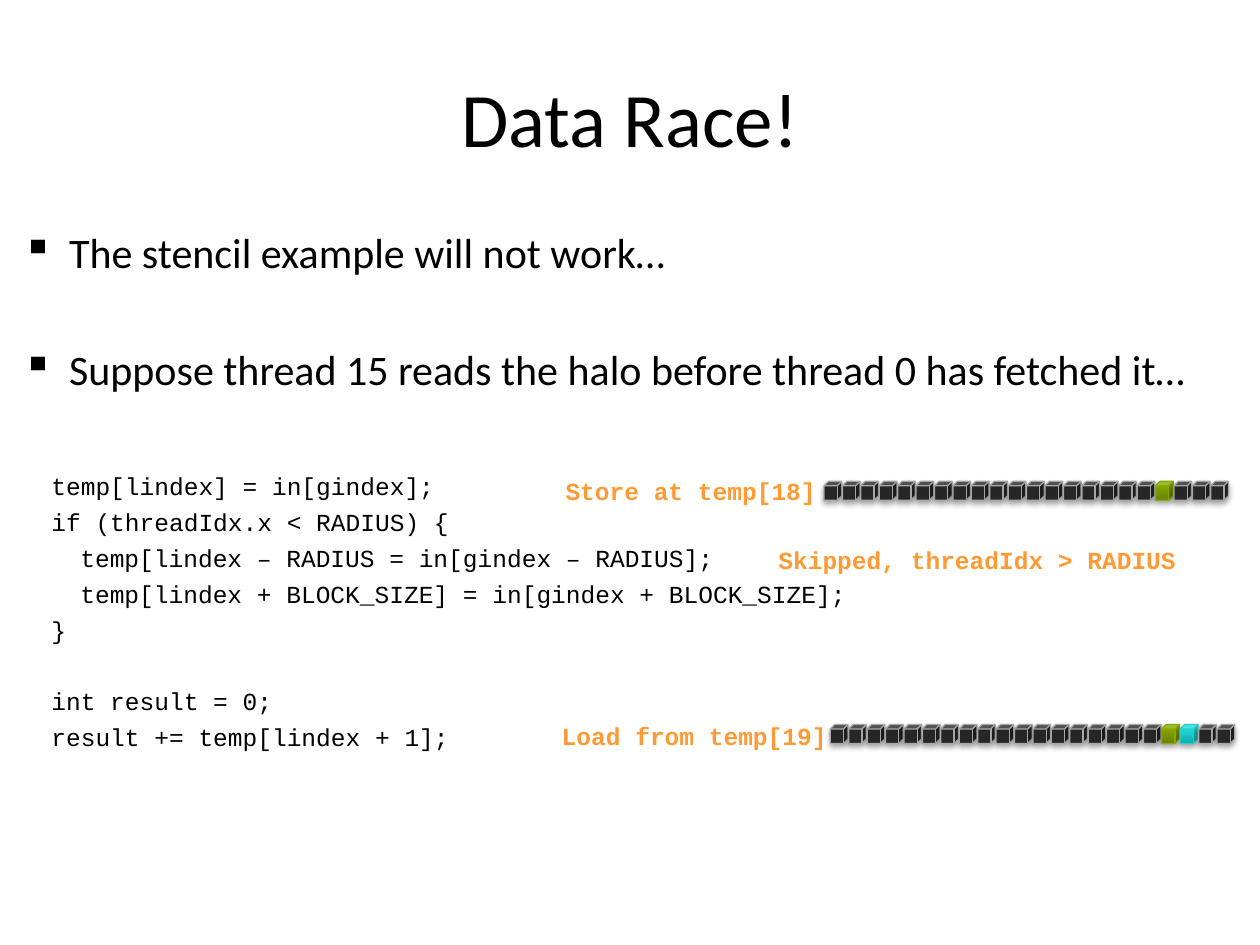
import pptx
import pptx.util
import pptx.dml.color
import pptx.enum.shapes
import pptx.enum.text
import pptx.oxml
import pptx.oxml.ns

Inches = pptx.util.Inches
Pt = pptx.util.Pt
RGBColor = pptx.dml.color.RGBColor

BLACK = RGBColor(0x00, 0x00, 0x00)
ORANGE = RGBColor(0xFF, 0x99, 0x33)
DARK = RGBColor(0x26, 0x26, 0x26)
GREY = RGBColor(0xA6, 0xA6, 0xA6)
GREEN_DEEP = RGBColor(0x67, 0x81, 0x00)
GREEN = RGBColor(0x86, 0xA8, 0x00)
GREEN_EDGE = RGBColor(0x87, 0xA9, 0x00)
CYAN_DEEP = RGBColor(0x15, 0xA9, 0xA9)
CYAN = RGBColor(0x1B, 0xDC, 0xDC)
CYAN_EDGE = RGBColor(0x2E, 0xCB, 0xCB)

STORED = (GREEN_DEEP, GREEN, GREEN_EDGE)
LOADED = (CYAN_DEEP, CYAN, CYAN_EDGE)

CELL_COUNT = 22
ROW_SPAN = 3.07  # from the first cube's left edge to the last one's
CODE_INDENT = 0.23  # two characters of code
BULLET_INDENT = 0.37

BULLETS = [  # text, space before in points
    ("The stencil example will not work…", 0),
    ("Suppose thread 15 reads the halo before thread 0 has fetched it…", 38),
]
CODE = [  # text, indent level, space before in points
    ("temp[lindex] = in[gindex];", 1, 44),
    ("if (threadIdx.x < RADIUS) {", 1, 3.8),
    ("temp[lindex – RADIUS = in[gindex – RADIUS];", 2, 3.8),
    ("temp[lindex + BLOCK_SIZE] = in[gindex + BLOCK_SIZE];", 2, 3.8),
    ("}", 1, 3.8),
    ("int result = 0;", 1, 23.5),
    ("result += temp[lindex + 1];", 1, 3.8),
]
LABELS = [  # text, left, top, width
    ("Store at temp[18]", 4.39, 3.73, 2.2),
    ("Load from temp[19]", 4.36, 5.67, 2.32),
    ("Skipped, threadIdx > RADIUS", 6.08, 4.28, 3.37),
]
SHADOW = (
    '<a:effectLst xmlns:a="http://schemas.openxmlformats.org/drawingml/2006/main">'
    '<a:outerShdw blurRad="39370" dist="22860" dir="5400000" rotWithShape="0">'
    '<a:srgbClr val="000000"><a:alpha val="35000"/></a:srgbClr>'
    "</a:outerShdw></a:effectLst>"
)


def add_text_frame(slide, left, top, width, height, wrap=True):
    box = slide.shapes.add_textbox(
        Inches(left), Inches(top), Inches(width), Inches(height)
    )
    box.text_frame.word_wrap = wrap
    return box.text_frame


def write(paragraph, text, font_name, size, color=BLACK, bold=False):
    paragraph.text = text
    font = paragraph.runs[0].font
    font.name = font_name
    font.size = Pt(size)
    font.color.rgb = color
    font.bold = bold


def set_indent(paragraph, margin, first_line=0):
    properties = paragraph._p.get_or_add_pPr()
    properties.set("marL", str(Inches(margin)))
    properties.set("indent", str(Inches(first_line)))
    return properties


def add_title(slide):
    frame = add_text_frame(slide, 0.5, 0.3, 9, 1.25)
    frame.vertical_anchor = pptx.enum.text.MSO_ANCHOR.MIDDLE
    title = frame.paragraphs[0]
    write(title, "Data Race!", "Calibri", 44)
    title.alignment = pptx.enum.text.PP_ALIGN.CENTER


def add_body(slide):
    """Bullets followed by the code listing, in one text box."""
    frame = add_text_frame(slide, 0.08, 1.75, 9.57, 5.17)
    paragraph = frame.paragraphs[0]
    for text, gap in BULLETS:
        if gap:
            paragraph = frame.add_paragraph()
        write(paragraph, text, "Calibri", 24)
        paragraph.space_before = Pt(gap)
        properties = set_indent(paragraph, BULLET_INDENT, -BULLET_INDENT)
        bullet = properties.makeelement(pptx.oxml.ns.qn("a:buChar"), {"char": "▪"})
        properties.append(bullet)
    for text, level, gap in CODE:
        paragraph = frame.add_paragraph()
        write(paragraph, text, "Courier New", 14)
        paragraph.space_before = Pt(gap)
        set_indent(paragraph, level * CODE_INDENT)


def add_label(slide, text, left, top, width):
    frame = add_text_frame(slide, left, top, width, 0.34, wrap=False)
    write(frame.paragraphs[0], text, "Courier New", 14, ORANGE, bold=True)


def add_cube(row, left, top, highlight=None):
    cube = row.shapes.add_shape(
        pptx.enum.shapes.MSO_SHAPE.CUBE,
        Inches(left), Inches(top), Inches(0.14), Inches(0.15),
    )
    edge = GREY
    if highlight:
        deep, bright, edge = highlight
        cube.fill.gradient()
        cube.fill.gradient_angle = 90
        for stop, position, color in zip(
            cube.fill.gradient_stops, (0, 0.8), (deep, bright)
        ):
            stop.position = position
            stop.color.rgb = color
    else:
        cube.fill.solid()
        cube.fill.fore_color.rgb = DARK
    cube.line.color.rgb = edge
    cube.line.width = Pt(0.75)
    cube._element.spPr.append(pptx.oxml.parse_xml(SHADOW))


def add_memory_row(slide, left, top, highlights):
    """A row of cells; highlights maps a cell index to its colours."""
    row = slide.shapes.add_group_shape()
    step = ROW_SPAN / (CELL_COUNT - 1)
    for index in range(CELL_COUNT):
        add_cube(row, left + index * step, top, highlights.get(index))


def main():
    presentation = pptx.Presentation()
    presentation.slide_width = Inches(10)
    presentation.slide_height = Inches(7.5)
    slide = presentation.slides.add_slide(presentation.slide_layouts[6])
    add_title(slide)
    add_body(slide)
    add_memory_row(slide, 6.59, 5.75, {18: STORED, 19: LOADED})
    for label in LABELS:
        add_label(slide, *label)
    add_memory_row(slide, 6.54, 3.82, {18: STORED})
    presentation.save("out.pptx")


if __name__ == "__main__":
    main()
